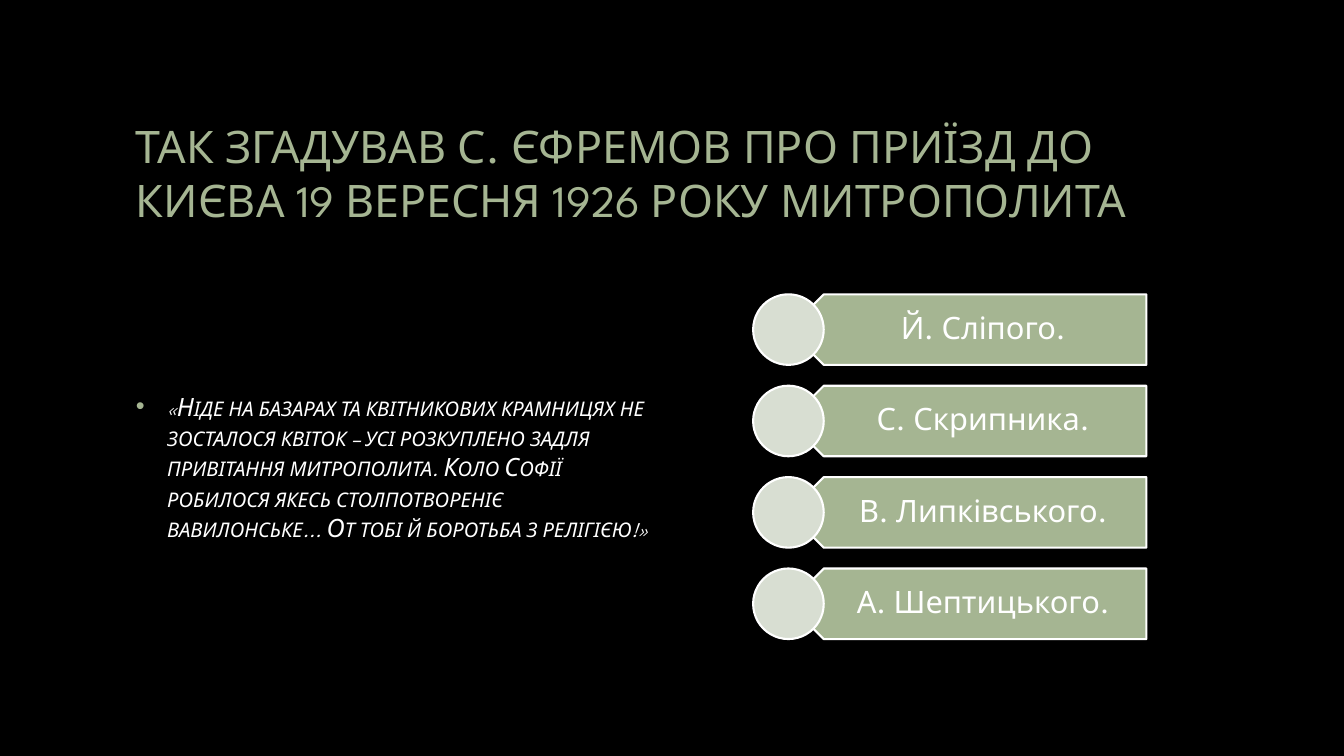
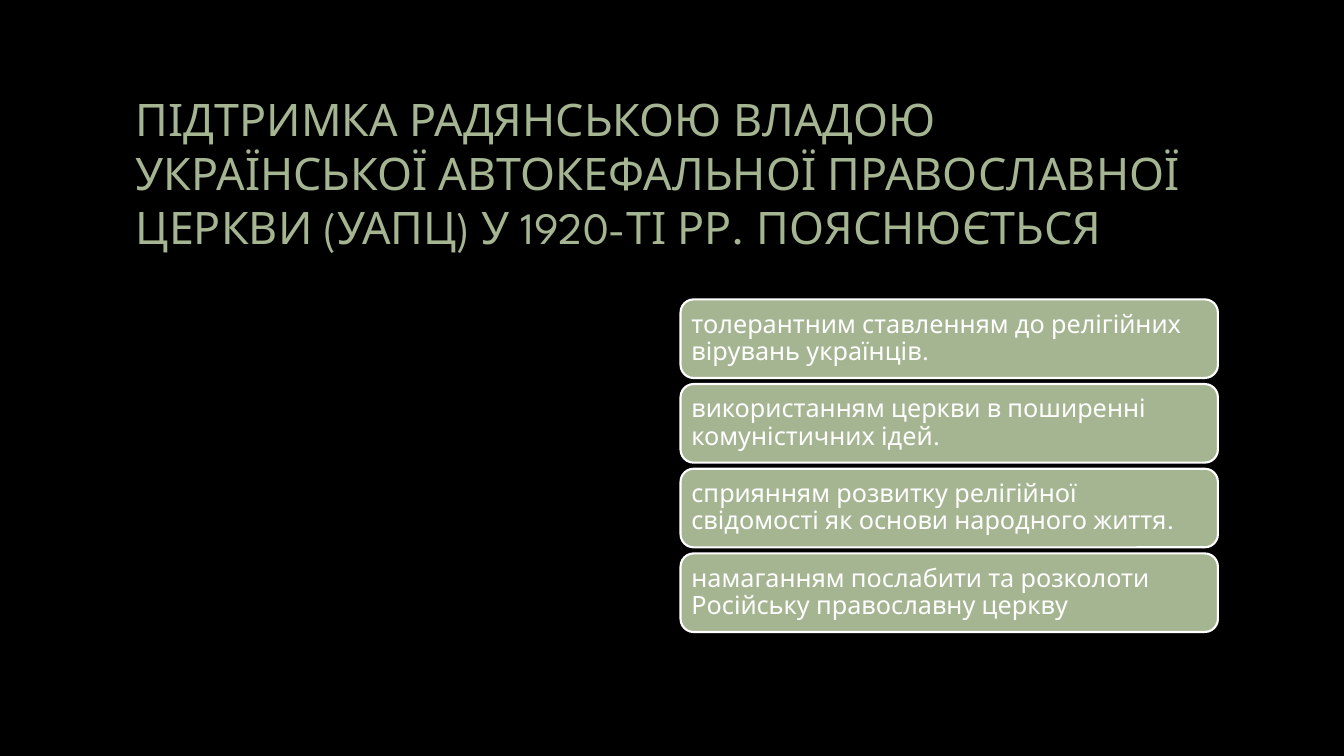
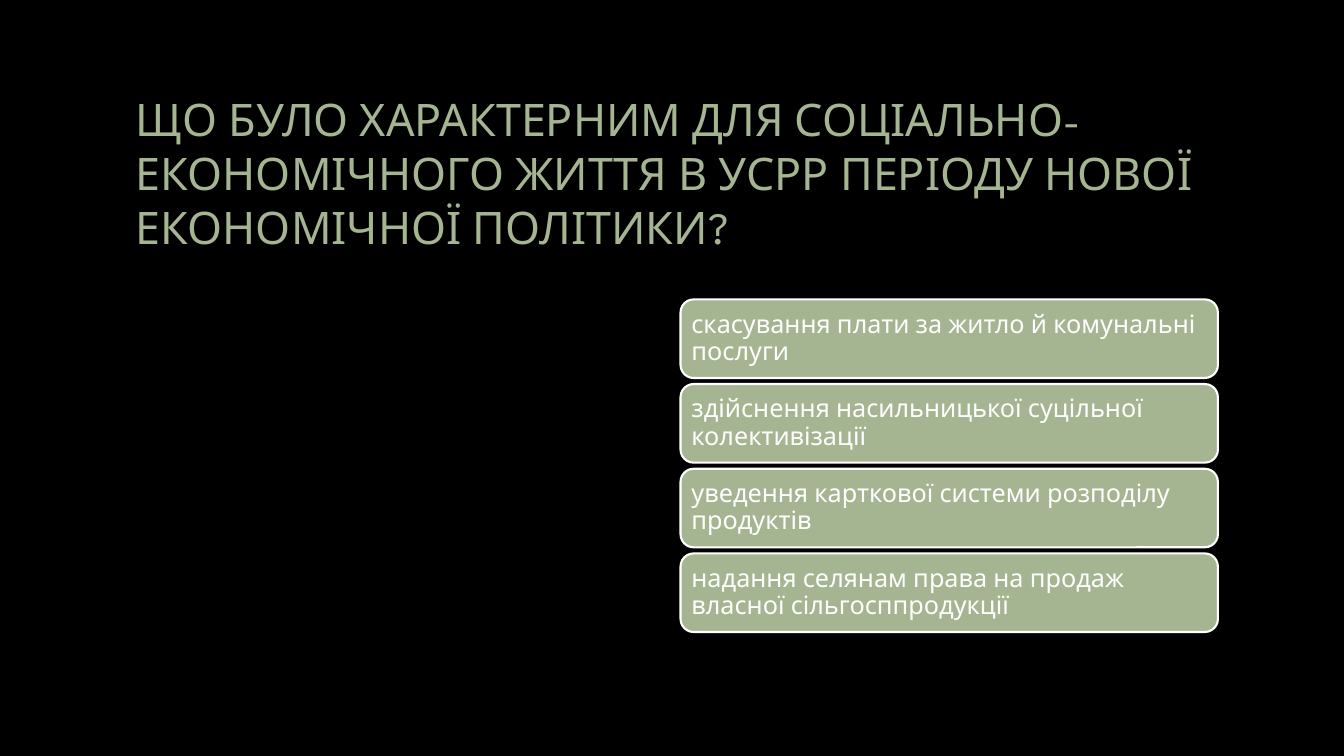
from dataclasses import dataclass

from lxml import etree
from pptx import Presentation
from pptx.dml.color import RGBColor
from pptx.enum.shapes import MSO_SHAPE
from pptx.enum.text import MSO_ANCHOR, PP_ALIGN
from pptx.oxml.ns import qn
from pptx.shapes.autoshape import Shape
from pptx.slide import Slide
from pptx.util import Inches, Pt

PENTAGON = MSO_SHAPE.PENTAGON
CIRCLE = MSO_SHAPE.OVAL
CARD = MSO_SHAPE.ROUNDED_RECTANGLE
MIDDLE = MSO_ANCHOR.MIDDLE
LEFT = PP_ALIGN.LEFT
CENTER = PP_ALIGN.CENTER

FONT = "League Spartan"
BLACK = "000000"
WHITE = "FFFFFF"
SAGE = "A5B592"
PALE_SAGE = "D8DED2"


@dataclass(frozen=True)
class Area:
    left: float
    top: float
    width: float
    height: float


@dataclass(frozen=True)
class TextStyle:
    size: int
    color: str = WHITE
    align: PP_ALIGN = LEFT
    line_spacing: float = 1.0
    italic: bool = False
    insets: tuple[float, float, float, float] = (0.1, 0.05, 0.1, 0.05)


@dataclass(frozen=True)
class Question:
    title: str
    answers: tuple[str, ...]
    quote: str = ""


TITLE_AREA = Area(1.25, 0.67, 10.83, 2.08)
QUOTE_AREA = Area(1.25, 2.92, 5.33, 3.42)
RIBBON_AREA = Area(7.47, 2.92, 3.9, 3.42)
CARD_AREA = Area(6.75, 2.97, 5.33, 3.3)
RIBBON_HEIGHT = 0.7
CARD_HEIGHT = 0.78
BULLET_INDENT = 0.31

TITLE_STYLE = TextStyle(32, SAGE)
QUOTE_STYLE = TextStyle(18, italic=True)
RIBBON_STYLE = TextStyle(22, align=CENTER, line_spacing=0.9, insets=(0.31, 0.09, 0.17, 0.09))
CARD_STYLE = TextStyle(18, line_spacing=0.9, insets=(0.07, 0.07, 0.07, 0.07))

QUESTIONS = (
    Question(
        "ТАК ЗГАДУВАВ С. ЄФРЕМОВ ПРО ПРИЇЗД ДО КИЄВА 19 ВЕРЕСНЯ 1926 РОКУ МИТРОПОЛИТА",
        ("Й. Сліпого.", "С. Скрипника.", "В. Липківського.", "А. Шептицького."),
        "«Ніде на базарах та квітникових крамницях не зосталося квіток – усі розкуплено "
        "задля привітання митрополита. Коло Софії робилося якесь столпотвореніє "
        "вавилонське... От тобі й боротьба з релігією!»",
    ),
    Question(
        "ПІДТРИМКА РАДЯНСЬКОЮ ВЛАДОЮ УКРАЇНСЬКОЇ АВТОКЕФАЛЬНОЇ ПРАВОСЛАВНОЇ "
        "ЦЕРКВИ (УАПЦ) У 1920-ТІ РР. ПОЯСНЮЄТЬСЯ",
        (
            "толерантним ставленням до релігійних вірувань українців.",
            "використанням церкви в поширенні комуністичних ідей.",
            "сприянням розвитку релігійної свідомості як основи народного життя.",
            "намаганням послабити та розколоти Російську православну церкву",
        ),
    ),
    Question(
        "ЩО БУЛО ХАРАКТЕРНИМ ДЛЯ СОЦІАЛЬНО-ЕКОНОМІЧНОГО ЖИТТЯ В УСРР ПЕРІОДУ "
        "НОВОЇ ЕКОНОМІЧНОЇ ПОЛІТИКИ?",
        (
            "скасування плати за житло й комунальні послуги",
            "здійснення насильницької суцільної колективізації",
            "уведення карткової системи розподілу продуктів",
            "надання селянам права на продаж власної сільгосппродукції",
        ),
    ),
)


def rgb(color: str) -> RGBColor:
    return RGBColor.from_string(color)


def box(area: Area) -> tuple[Inches, ...]:
    return tuple(Inches(n) for n in (area.left, area.top, area.width, area.height))


def set_all(target: object, values: dict[str, object]) -> None:
    for name, value in values.items():
        setattr(target, name, value)


def write(holder: Shape, text: str, style: TextStyle) -> None:
    frame = holder.text_frame
    left, top, right, bottom = (Inches(n) for n in style.insets)
    set_all(frame, {
        "word_wrap": True,
        "vertical_anchor": MIDDLE,
        "margin_left": left,
        "margin_top": top,
        "margin_right": right,
        "margin_bottom": bottom,
    })
    paragraph = frame.paragraphs[0]
    set_all(paragraph, {"alignment": style.align, "line_spacing": style.line_spacing})
    run = paragraph.add_run()
    run.text = text
    set_all(run.font, {"name": FONT, "size": Pt(style.size), "italic": style.italic})
    run.font.color.rgb = rgb(style.color)


def add_text(slide: Slide, area: Area, text: str, style: TextStyle) -> Shape:
    holder = slide.shapes.add_textbox(*box(area))
    write(holder, text, style)
    return holder


def add_outlined(slide: Slide, kind: MSO_SHAPE, area: Area, fill: str) -> Shape:
    shape = slide.shapes.add_shape(kind, *box(area))
    shape.shadow.inherit = False
    shape.fill.solid()
    shape.fill.fore_color.rgb = rgb(fill)
    shape.line.color.rgb = rgb(WHITE)
    shape.line.width = Pt(1.5)
    return shape


def add_quote(slide: Slide, quote: str) -> None:
    holder = add_text(slide, QUOTE_AREA, quote, QUOTE_STYLE)
    paragraph = holder.text_frame.paragraphs[0]
    properties = paragraph._p.get_or_add_pPr()
    properties.set("marL", str(Inches(BULLET_INDENT)))
    properties.set("indent", str(-Inches(BULLET_INDENT)))
    bullet_color = etree.SubElement(properties, qn("a:buClr"))
    etree.SubElement(bullet_color, qn("a:srgbClr"), val=SAGE)
    etree.SubElement(properties, qn("a:buFont"), typeface="Arial")
    etree.SubElement(properties, qn("a:buChar"), char="•")
    paragraph.runs[0].font._element.set("cap", "small")


def rows(area: Area, count: int, height: float) -> list[Area]:
    pitch = (area.height - height) / (count - 1)
    return [Area(area.left, area.top + i * pitch, area.width, height) for i in range(count)]


def add_ribbons(slide: Slide, answers: tuple[str, ...]) -> None:
    radius = RIBBON_HEIGHT / 2
    for row, answer in zip(rows(RIBBON_AREA, len(answers), RIBBON_HEIGHT), answers):
        ribbon = Area(row.left + radius, row.top, row.width - radius, row.height)
        label = Area(ribbon.left + radius / 2, row.top, ribbon.width - radius / 2, row.height)
        add_outlined(slide, PENTAGON, ribbon, SAGE).rotation = 180
        add_text(slide, label, answer, RIBBON_STYLE)
        add_outlined(slide, CIRCLE, Area(row.left, row.top, row.height, row.height), PALE_SAGE)


def add_cards(slide: Slide, answers: tuple[str, ...]) -> None:
    for row, answer in zip(rows(CARD_AREA, len(answers), CARD_HEIGHT), answers):
        write(add_outlined(slide, CARD, row, SAGE), answer, CARD_STYLE)


def main() -> None:
    deck = Presentation()
    set_all(deck, {"slide_width": Inches(13.33), "slide_height": Inches(7.5)})
    background = deck.slide_master.background.fill
    background.solid()
    background.fore_color.rgb = rgb(BLACK)
    for question in QUESTIONS:
        slide = deck.slides.add_slide(deck.slide_layouts[6])
        add_text(slide, TITLE_AREA, question.title, TITLE_STYLE)
        if question.quote:
            add_quote(slide, question.quote)
            add_ribbons(slide, question.answers)
        else:
            add_cards(slide, question.answers)
    deck.save("out.pptx")


if __name__ == "__main__":
    main()
